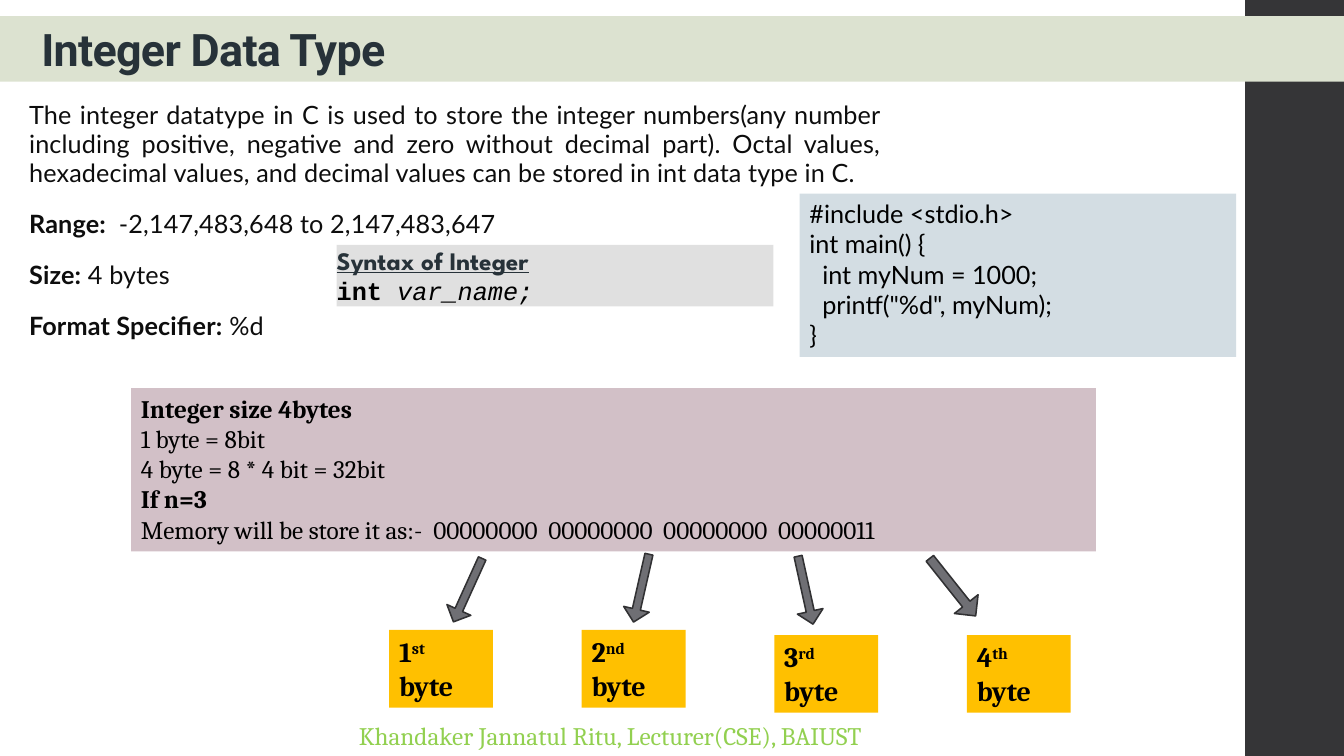
from dataclasses import dataclass

from lxml import etree
from pptx import Presentation
from pptx.dml.color import RGBColor
from pptx.enum.shapes import MSO_SHAPE
from pptx.enum.text import MSO_ANCHOR, PP_ALIGN
from pptx.oxml.ns import qn
from pptx.util import Pt

PX = 9144  # 100 px to the inch
RECTANGLE, DOWN_ARROW = MSO_SHAPE.RECTANGLE, MSO_SHAPE.DOWN_ARROW
LEFT, JUSTIFY = PP_ALIGN.LEFT, PP_ALIGN.JUSTIFY
TOP, MIDDLE, BOTTOM = MSO_ANCHOR.TOP, MSO_ANCHOR.MIDDLE, MSO_ANCHOR.BOTTOM


@dataclass(frozen=True)
class Theme:
    sidebar: str = "353537"
    title_band: str = "DCE2D0"
    heading: str = "273239"
    body: str = "0D0D0D"
    black: str = "000000"
    syntax: str = "E0E0E0"
    code: str = "D3DDE3"
    memory: str = "D2C0C7"
    byte: str = "FFC000"
    arrow: str = "6F6F74"
    arrow_line: str = "313133"
    footer: str = "92D050"
    title_size: int = 32
    byte_size: int = 20
    text_size: int = 18


THEME = Theme()


def add_shape(kind, left, top, width, height, fill):
    shape = slide.shapes.add_shape(kind, left * PX, top * PX, width * PX, height * PX)
    shape.shadow.inherit = False
    shape.line.fill.background()
    if fill:
        shape.fill.solid()
        shape.fill.fore_color.rgb = RGBColor.from_string(fill)
    else:
        shape.fill.background()
    return shape


def write(shape, lines, font, color, size=THEME.text_size, align=LEFT, anchor=TOP):
    """Fill a shape with lines of (text, style) spans; b, i, u and ^ (superscript) are styles."""
    frame = shape.text_frame
    frame.word_wrap = True
    frame.vertical_anchor = anchor
    for index, spans in enumerate(lines):
        para = frame.paragraphs[0] if index == 0 else frame.add_paragraph()
        para.alignment = align
        for text, style in spans:
            span = para.add_run()
            span.text = text
            span.font.name = font
            span.font.size = Pt(size)
            span.font.color.rgb = RGBColor.from_string(color)
            span.font.bold = "b" in style
            span.font.italic = "i" in style
            span.font.underline = "u" in style
            if "^" in style:
                span.font._element.set("baseline", "30000")
    return frame


deck = Presentation()
deck.slide_width, deck.slide_height = 1333 * PX, 750 * PX
slide = deck.slides.add_slide(deck.slide_layouts[5])

# Sidebar, footer and title band
sidebar = add_shape(RECTANGLE, 1235, 0, 100, 750, THEME.sidebar)
sidebar.width = deck.slide_width - sidebar.left
footer = add_shape(RECTANGLE, 346, 710, 741, 40, None)
write(footer, [[("Khandaker Jannatul Ritu, Lecturer(CSE), BAIUST", "")]], "Cambria", THEME.footer)

title = slide.shapes.title
footer._element.addnext(title._element)
title.left, title.top, title.width, title.height = 0, 16 * PX, deck.slide_width, 65 * PX
title.fill.solid()
title.fill.fore_color.rgb = RGBColor.from_string(THEME.title_band)
frame = write(title, [[("Integer Data Type", "b")]], "Roboto", THEME.heading,
              THEME.title_size, JUSTIFY, BOTTOM)
frame.margin_left = 41 * PX
frame.paragraphs[0].line_spacing = 0.9
frame.paragraphs[0].runs[0].font._element.set("spc", "-50")

# Description
facts = [
    [("The integer datatype in C is used to store the integer numbers(any number including "
      "positive, negative and zero without decimal part). Octal values, hexadecimal values, "
      "and decimal values can be stored in int data type in C.", "")],
    [("Range: ", "b"), (" -2,147,483,648 to 2,147,483,647", "")],
    [("Size:", "b"), (" 4 bytes", "")],
    [("Format Specifier:", "b"), (" %d", "")],
]
description = add_shape(RECTANGLE, 19, 96, 865, 292, None)
frame = write(description, facts, "Lato", THEME.body, align=JUSTIFY)
for index, para in enumerate(frame.paragraphs):
    para.line_spacing = 0.95
    para.space_before = Pt(14 if index else 0)
    para.space_after = Pt(2)
    for span in para.runs:
        span.font._element.set("spc", "10")

# Syntax and example code
syntax = add_shape(RECTANGLE, 334, 243, 433, 61, THEME.syntax)
frame = write(syntax, [[("Syntax of Integer", "bu")], [("int ", "b"), ("var_name;", "i")]],
              "Courier New", THEME.black, anchor=MIDDLE)
frame.margin_left = frame.margin_top = frame.margin_right = frame.margin_bottom = 0
heading = frame.paragraphs[0].runs[0].font
heading.name = "League Spartan"
heading.color.rgb = RGBColor.from_string(THEME.heading)

code = ["#include <stdio.h>", "int main() {", "  int myNum = 1000;", '  printf("%d", myNum);', "}"]
example = add_shape(RECTANGLE, 793, 192, 433, 162, THEME.code)
write(example, [[(line, "")] for line in code], "Lato", THEME.black)

# Memory layout, with the four bytes set on tab stops
memory_lines = [
    [("Integer size 4bytes", "b")],
    [("1 byte = 8bit", "")],
    [("4 byte = 8 * 4 bit = 32bit", "")],
    [("If n=3", "b")],
    [("Memory will be store it as:-\t00000000\t00000000\t00000000\t00000011", "")],
]
memory = add_shape(RECTANGLE, 130, 385, 957, 162, THEME.memory)
frame = write(memory, memory_lines, "Cambria", THEME.black)
tabs = etree.SubElement(frame.paragraphs[-1]._p.get_or_add_pPr(), qn("a:tabLst"))
for index in range(4):
    etree.SubElement(tabs, qn("a:tab"), pos=str((290 + 114 * index) * PX), algn="l")

# Byte labels
for index, (number, suffix, top) in enumerate(
        [("1", "st", 625), ("2", "nd", 625), ("3", "rd", 630), ("4", "th", 630)]):
    label = add_shape(RECTANGLE, 386 + 191 * index, top, 103, 77, THEME.byte)
    write(label, [[(number, "b"), (suffix, "b^"), (" byte", "b")]],
          "Cambria", THEME.black, THEME.byte_size)

# Arrows from the bits to the labels
for left, top, width, height, angle in [
        (451, 551, 26, 69, 24.4), (623, 549, 26, 69, 12.8),
        (786, 551, 26, 69, 347.6), (930, 546, 30, 73, 321.5)]:
    arrow = add_shape(DOWN_ARROW, left, top, width, height, THEME.arrow)
    arrow.rotation = angle
    arrow.adjustments[0] = 0.31
    arrow.adjustments[1] = 0.5
    arrow.line.color.rgb = RGBColor.from_string(THEME.arrow_line)
    arrow.line.width = Pt(1.1)

deck.save("out.pptx")
